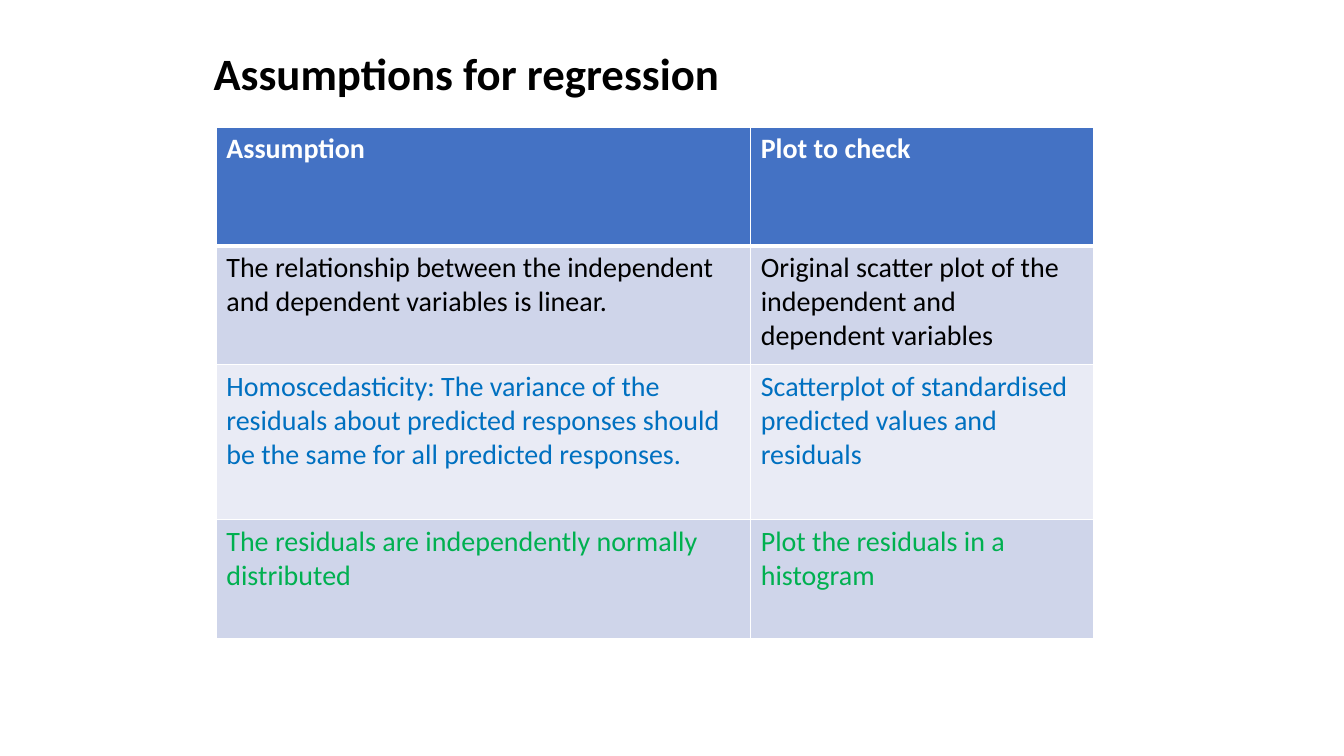
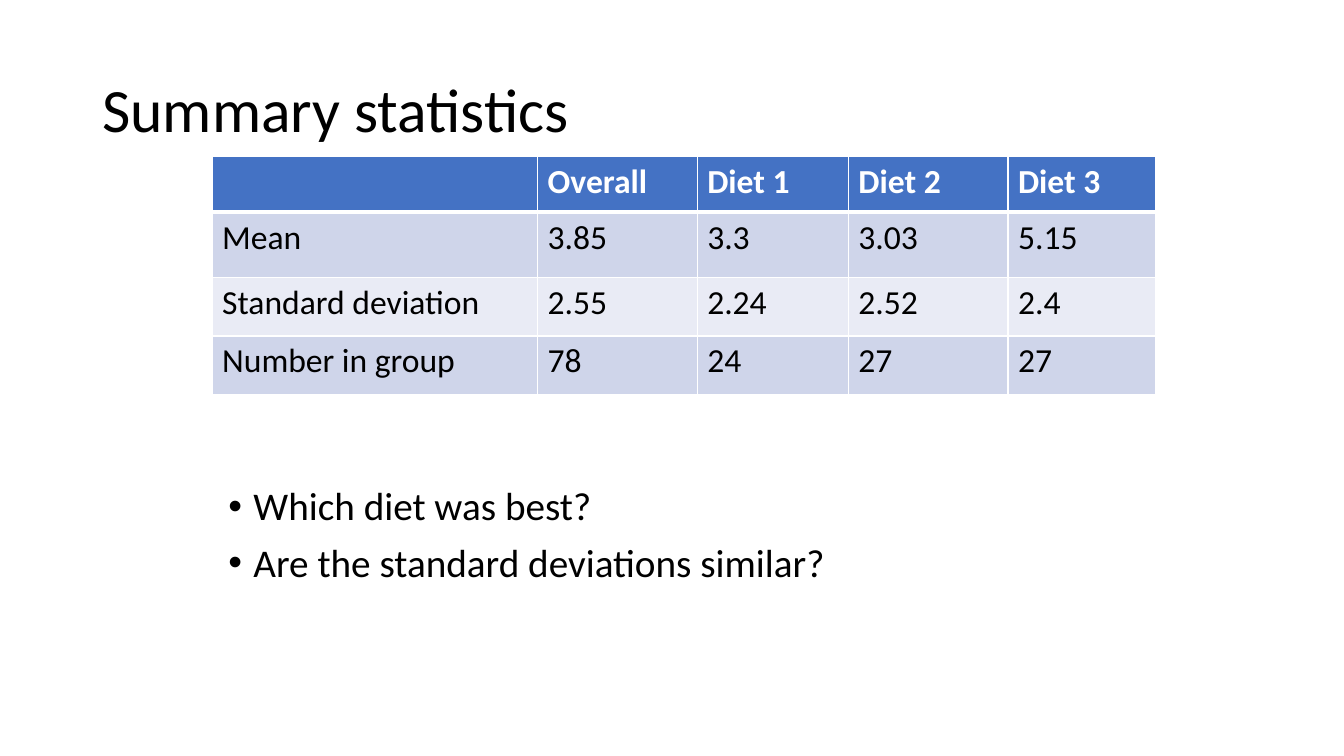
from dataclasses import dataclass

from lxml.etree import SubElement
from pptx import Presentation
from pptx.dml.color import RGBColor
from pptx.enum.text import MSO_ANCHOR
from pptx.oxml import parse_xml
from pptx.oxml.ns import nsdecls, qn
from pptx.util import Pt

EMU_PER_PX = 9525  # 96 px to the inch


@dataclass(frozen=True)
class Theme:
    font: str = "Calibri"
    black: str = "000000"
    white: str = "FFFFFF"
    blue: str = "0070C0"
    green: str = "00B050"
    header: str = "4472C4"
    bands: tuple = ("CFD5EA", "E9EBF5")
    small_title: int = 32
    large_title: int = 44
    body: int = 28
    dense_table: int = 20
    open_table: int = 24
    rule: int = 1
    header_rule: int = 3


THEME = Theme()


def px(length):
    return length * EMU_PER_PX


def set_attributes(target, values):
    for name, value in values.items():
        setattr(target, name, value)


def write(para, text, size, color=THEME.black, bold=False):
    if not text:
        return
    span = para.add_run()
    span.text = text
    set_attributes(span.font, {"name": THEME.font, "size": Pt(size), "bold": bold})
    span.font.color.rgb = RGBColor.from_string(color)


def add_text_frame(page, box, anchor):
    frame = page.shapes.add_textbox(*map(px, box)).text_frame
    set_attributes(frame, {"word_wrap": True, "vertical_anchor": anchor})
    return frame


def add_title(page, box, text, size, bold=False):
    para = add_text_frame(page, box, MSO_ANCHOR.MIDDLE).paragraphs[0]
    para.line_spacing = 0.9
    write(para, text, size, bold=bold)


def add_bullets(page, box, lines):
    frame = add_text_frame(page, box, MSO_ANCHOR.TOP)
    for index, line in enumerate(lines):
        para = frame.add_paragraph() if index else frame.paragraphs[0]
        set_attributes(para, {"line_spacing": 0.9, "space_after": Pt(10)})
        write(para, line, THEME.body)
        # Hanging bullet
        properties = para._p.get_or_add_pPr()
        properties.set("marL", str(px(24)))
        properties.set("indent", str(px(-24)))
        SubElement(properties, qn("a:buFont")).set("typeface", "Arial")
        SubElement(properties, qn("a:buChar")).set("char", "•")


def set_borders(cell, widths):
    """Draw white cell borders; widths are in points, keyed by side."""
    properties = cell._tc.get_or_add_tcPr()
    for index, (side, width) in enumerate(widths.items()):
        properties.insert(index, parse_xml(
            f'<a:ln{side} {nsdecls("a")} w="{Pt(width)}"><a:solidFill>'
            f'<a:srgbClr val="{THEME.white}"/></a:solidFill></a:ln{side}>'))


def add_banded_table(page, origin, widths, heights, rows, size, row_colors=None):
    """Place a table with a header row and alternating bands at origin."""
    extent = (sum(widths), sum(heights))
    table = page.shapes.add_table(
        len(rows), len(widths), *map(px, origin + extent)).table
    for column, width in zip(table.columns, widths):
        column.width = px(width)
    for index, (row, height, texts) in enumerate(zip(table.rows, heights, rows)):
        row.height = px(height)
        is_header = index == 0
        fill = THEME.header if is_header else THEME.bands[(index - 1) % 2]
        color = THEME.white if is_header else THEME.black
        if row_colors and not is_header:
            color = row_colors[index - 1]
        borders = {"L": THEME.rule, "R": THEME.rule,
                   "T": THEME.header_rule if index == 1 else THEME.rule,
                   "B": THEME.header_rule if is_header else THEME.rule}
        for cell, text in zip(row.cells, texts):
            cell.fill.solid()
            cell.fill.fore_color.rgb = RGBColor.from_string(fill)
            set_borders(cell, borders)
            write(cell.text_frame.paragraphs[0], text, size, color, is_header)


def build_assumptions(page):
    add_title(page, (194, 12, 718, 120), "Assumptions for regression",
              THEME.small_title, bold=True)
    add_banded_table(
        page, (206, 121), (509, 327), (113, 113, 148, 113),
        [("Assumption", "Plot to check"),
         ("The relationship between the independent and dependent variables "
          "is linear.",
          "Original scatter plot of the independent and dependent variables"),
         ("Homoscedasticity: The variance of the residuals about predicted "
          "responses should be the same for all predicted responses.",
          "Scatterplot of standardised predicted values and residuals"),
         ("The residuals are independently normally distributed",
          "Plot the residuals in a histogram")],
        THEME.dense_table, (THEME.black, THEME.blue, THEME.green))


def build_summary(page):
    add_title(page, (88, 38, 1104, 139), "Summary statistics", THEME.large_title)
    add_banded_table(
        page, (202, 149), (310, 152, 144, 152, 141), (53, 62, 56, 56),
        [("", "Overall", "Diet 1", "Diet 2", "Diet 3"),
         ("Mean", "3.85", "3.3", "3.03", "5.15"),
         ("Standard deviation", "2.55", "2.24", "2.52", "2.4"),
         ("Number in group", "78", "24", "27", "27")],
        THEME.open_table)
    add_bullets(page, (208, 459, 864, 172),
                ("Which diet was best?", "Are the standard deviations similar?"))


def main():
    deck = Presentation()
    set_attributes(deck, {"slide_width": px(1280), "slide_height": px(720)})
    blank = deck.slide_layouts[6]
    for build in (build_assumptions, build_summary):
        build(deck.slides.add_slide(blank))
    deck.save("out.pptx")


if __name__ == "__main__":
    main()
